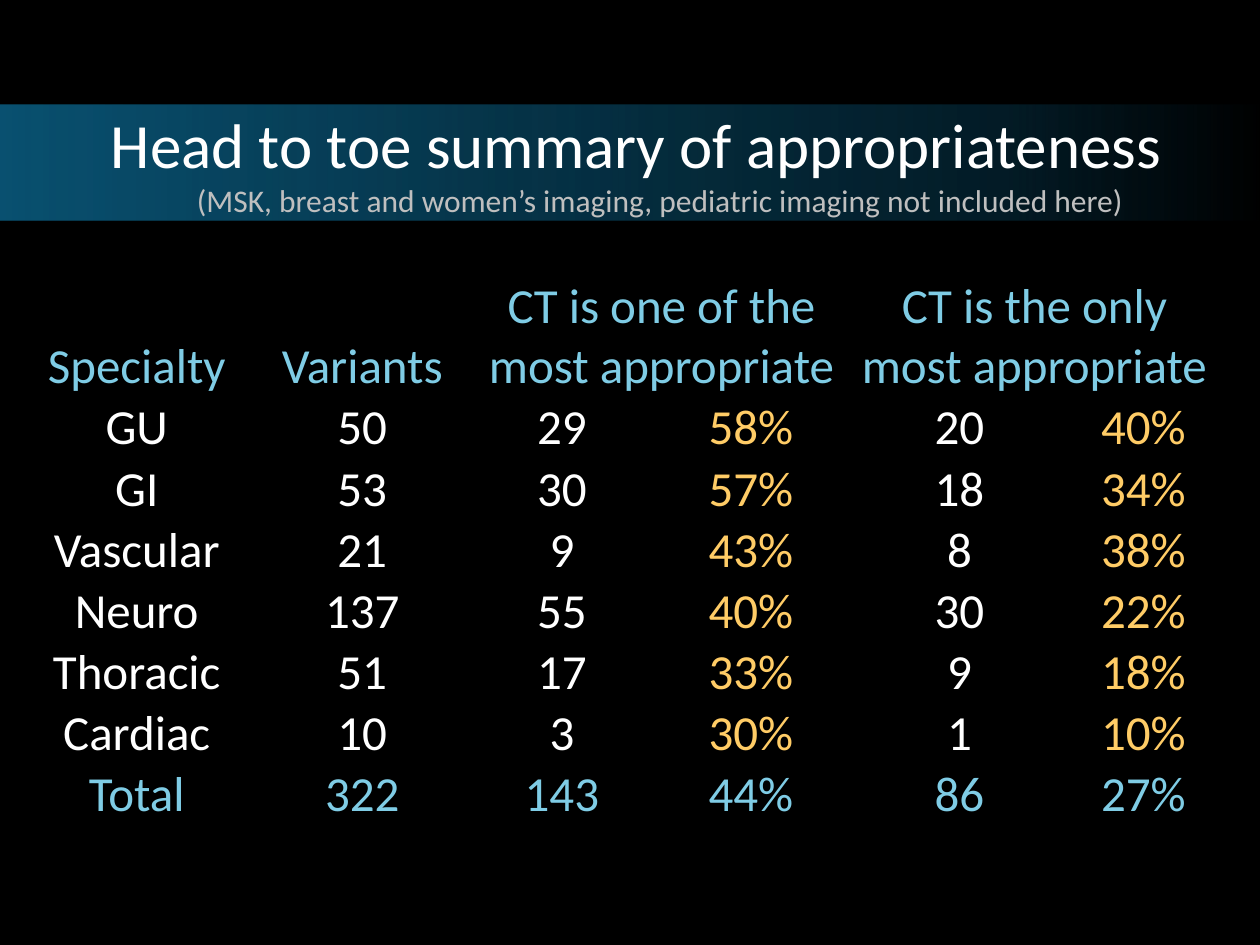
from dataclasses import dataclass

from lxml import etree
from pptx import Presentation
from pptx.dml.color import RGBColor
from pptx.enum import text
from pptx.oxml import ns
from pptx.util import Inches, Pt


@dataclass(frozen=True)
class Theme:
    """Colours, type sizes and font of the slide."""
    font: str = "Calibri"
    background: RGBColor = RGBColor(0x00, 0x00, 0x00)
    body: RGBColor = RGBColor(0xFF, 0xFF, 0xFF)
    muted: RGBColor = RGBColor(0xBF, 0xBF, 0xBF)
    heading: RGBColor = RGBColor(0x7F, 0xCC, 0xE5)
    percent: RGBColor = RGBColor(0xFF, 0xCC, 0x66)
    band: RGBColor = RGBColor(0x0A, 0x59, 0x7C)
    title_size: Pt = Pt(36)
    subtitle_size: Pt = Pt(18)
    table_size: Pt = Pt(28)


THEME = Theme()
BAND_OPACITY = {0: 90, 50: 50, 80: 30, 100: 0}
PLAIN_TABLE_STYLE = "{2D5ABB26-0587-4C30-8999-92F81FD0307C}"
COLUMN_WIDTHS = [1.83, 1.75, 1.42, 1.58, 1.73, 1.19]
HEADER_HEIGHT, ROW_HEIGHT = 0.95, 0.48
HEADERS = {
    0: "Specialty",
    1: "Variants",
    2: "CT is one of the most appropriate",
    4: "CT is the only most appropriate",
}
PERCENT_COLUMNS = (3, 5)
ROWS = [
    ("GU", "50", "29", "58%", "20", "40%"),
    ("GI", "53", "30", "57%", "18", "34%"),
    ("Vascular", "21", "9", "43%", "8", "38%"),
    ("Neuro", "137", "55", "40%", "30", "22%"),
    ("Thoracic", "51", "17", "33%", "9", "18%"),
    ("Cardiac", "10", "3", "30%", "1", "10%"),
    ("Total", "322", "143", "44%", "86", "27%"),
]


def fade_band(shape):
    """Fill a shape with the band colour fading out to the right."""
    gradient = etree.SubElement(shape._element.spPr, ns.qn("a:gradFill"))
    stops = etree.SubElement(gradient, ns.qn("a:gsLst"))
    for position, opacity in BAND_OPACITY.items():
        stop = etree.SubElement(stops, ns.qn("a:gs"), pos=str(position * 1000))
        colour = etree.SubElement(stop, ns.qn("a:srgbClr"), val=str(THEME.band))
        etree.SubElement(colour, ns.qn("a:alpha"), val=str(opacity * 1000))
    etree.SubElement(gradient, ns.qn("a:lin"), ang="0", scaled="0")


def place_title(slide, left, top, width, height):
    """Place the title and its subtitle line on the fading band."""
    title = slide.shapes.title
    title.left, title.top, title.width, title.height = left, top, width, height
    fade_band(title)
    frame = title.text_frame
    frame.auto_size = text.MSO_AUTO_SIZE.NONE
    frame.word_wrap = True
    frame.vertical_anchor = text.MSO_ANCHOR.MIDDLE
    frame.margin_left, frame.margin_right = Inches(0.2), Inches(0.1)
    frame.margin_top = frame.margin_bottom = Inches(0.05)
    paragraph = frame.paragraphs[0]
    paragraph.alignment = text.PP_ALIGN.CENTER
    properties = paragraph._p.get_or_add_pPr()
    properties.set("marL", str(Inches(0.38)))
    properties.set("indent", str(-Inches(0.38)))
    paragraph.font.name = THEME.font
    paragraph.font.size = THEME.title_size
    paragraph.font.color.rgb = THEME.body
    paragraph.add_run().text = "Head to toe summary of appropriateness"
    paragraph.add_line_break()
    subtitle = paragraph.add_run()
    subtitle.text = "(MSK, breast and women’s imaging, pediatric imaging not included here)"
    subtitle.font.size = THEME.subtitle_size
    subtitle.font.color.rgb = THEME.muted


def write_cell(cell, content, colour):
    """Write one centred, bottom-aligned table cell."""
    cell.fill.background()
    cell.vertical_anchor = text.MSO_ANCHOR.BOTTOM
    cell.margin_left = cell.margin_right = cell.margin_top = Inches(0.01)
    cell.margin_bottom = 0
    cell.text = content
    paragraph = cell.text_frame.paragraphs[0]
    paragraph.alignment = text.PP_ALIGN.CENTER
    paragraph.font.name = THEME.font
    paragraph.font.size = THEME.table_size
    paragraph.font.color.rgb = colour


def place_summary(slide, left, top, width, height):
    """Place the table of appropriateness by specialty."""
    table = slide.shapes.add_table(
        len(ROWS) + 1, len(COLUMN_WIDTHS), left, top, width, height).table
    table.first_row = table.horz_banding = False
    table._tbl.tblPr.find(ns.qn("a:tableStyleId")).text = PLAIN_TABLE_STYLE
    for column, column_width in zip(table.columns, COLUMN_WIDTHS):
        column.width = Inches(column_width)
    for index, row in enumerate(table.rows):
        row.height = Inches(ROW_HEIGHT if index else HEADER_HEIGHT)
    for column in range(len(COLUMN_WIDTHS)):
        write_cell(table.cell(0, column), HEADERS.get(column, ""), THEME.heading)
    for first in (2, 4):
        table.cell(0, first).merge(table.cell(0, first + 1))
    for row, values in enumerate(ROWS, start=1):
        for column, value in enumerate(values):
            if values[0] == "Total":
                colour = THEME.heading
            else:
                colour = THEME.percent if column in PERCENT_COLUMNS else THEME.body
            write_cell(table.cell(row, column), value, colour)


def main():
    """Build and save the slide."""
    deck = Presentation()
    deck.slide_width, deck.slide_height = Inches(10), Inches(7.5)
    slide = deck.slides.add_slide(deck.slide_layouts[5])
    slide.background.fill.solid()
    slide.background.fill.fore_color.rgb = THEME.background
    place_title(slide, 0, Inches(0.83), deck.slide_width, Inches(0.92))
    place_summary(slide, Inches(0.17), Inches(2.19), Inches(9.5), Inches(4.31))
    deck.save("out.pptx")


if __name__ == "__main__":
    main()
